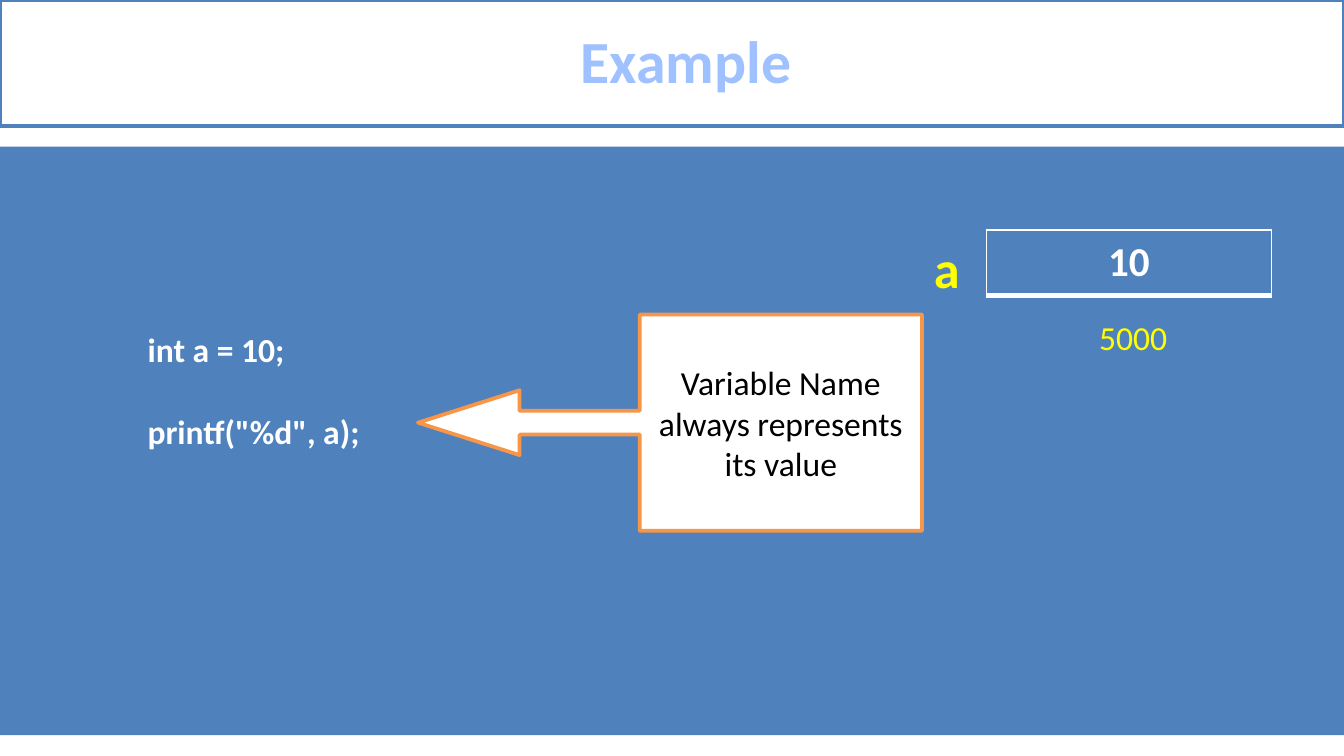
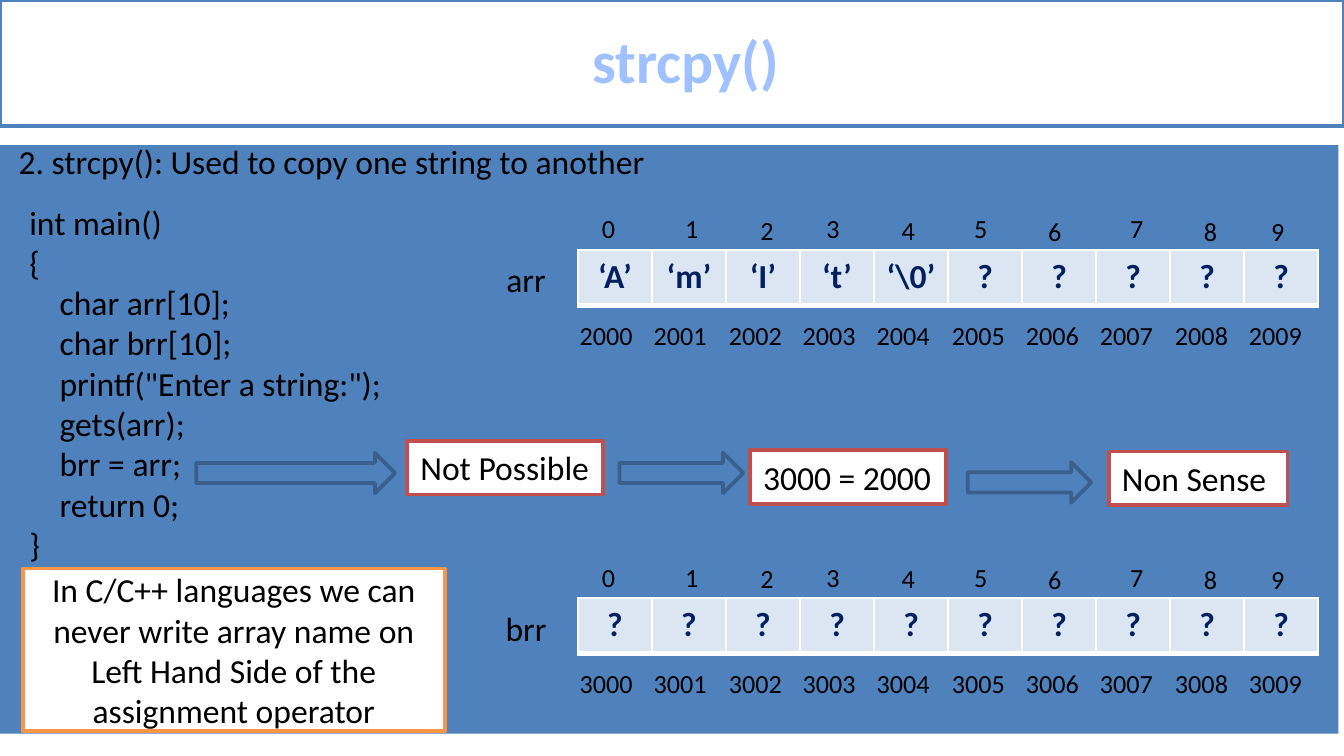
from lxml import etree
from pptx import Presentation
from pptx.dml.color import RGBColor
from pptx.enum.shapes import MSO_SHAPE
from pptx.enum.text import MSO_ANCHOR, MSO_AUTO_SIZE, PP_ALIGN
from pptx.oxml import parse_xml
from pptx.oxml.ns import nsdecls, qn
from pptx.util import Emu, Pt

PX = 9144
WIDTH = 1000
FONT = "Calibri"
TITLE_ONLY = 5
LEFT, CENTER = PP_ALIGN.LEFT, PP_ALIGN.CENTER
TOP, MIDDLE = MSO_ANCHOR.TOP, MSO_ANCHOR.MIDDLE
GROW = MSO_AUTO_SIZE.SHAPE_TO_FIT_TEXT
RECTANGLE = MSO_SHAPE.RECTANGLE
RIGHT_ARROW = MSO_SHAPE.RIGHT_ARROW
LEFT_CALLOUT = MSO_SHAPE.LEFT_ARROW_CALLOUT

COLORS = {
    "white": "FFFFFF",
    "black": "000000",
    "blue": "4F81BD",
    "arrow_edge": "3A5F8C",
    "title_edge": "467AB8",
    "orange": "F79646",
    "red": "C0504D",
    "yellow": "FFFF00",
    "navy": "002060",
    "cell": "DCE6F2",
}
TITLE_STOPS = ((0, "BFD3F9"), (9, "A0C1FF"), (50, "003D85"), (79, "A0C1FF"), (100, "BFD3F9"))
CELL_EDGES = (("lnL", 1), ("lnR", 1), ("lnT", 1), ("lnB", 3))
INDEX_PLACES = ((438, 0), (500, 0), (556, 1), (605, 0), (661, 1),
                (715, 0), (770, 2), (831, 0), (886, 2), (936, 2))

PROGRAM = """int main()
{
    char arr[10];
    char brr[10];
    printf("Enter a string:");
    gets(arr);
    brr = arr;
    return 0;
}"""


def rgb(name):
    return RGBColor.from_string(COLORS[name])


def px(*lengths):
    return [Emu(length * PX) for length in lengths]


def write(frame, text, size=18, color="black", bold=False, align=LEFT):
    frame.text = text
    for para in frame.paragraphs:
        para.alignment = align
        for span in para.runs:
            span.font.name = FONT
            span.font.size = Pt(size)
            span.font.bold = bold
            span.font.color.rgb = rgb(color)


def paint(shape, fill, line=None):
    shape.fill.solid()
    shape.fill.fore_color.rgb = rgb(fill)
    if line:
        shape.line.color.rgb = rgb(line)
        shape.line.width = Pt(2)
    else:
        shape.line.fill.background()


def add_shape(page, kind, place, fill, line=None):
    shape = page.shapes.add_shape(kind, *px(*place))
    shape.shadow.inherit = False
    paint(shape, fill, line)
    return shape


def add_text(page, place, text, wrap=True, anchor=TOP, **style):
    box = page.shapes.add_textbox(*px(*place))
    frame = box.text_frame
    frame.word_wrap = wrap
    frame.auto_size = GROW
    frame.vertical_anchor = anchor
    write(frame, text, **style)
    return box


def add_label(page, place, text, size=14):
    return add_text(page, place, text, anchor=MIDDLE, size=size, align=CENTER)


def add_note(page, kind, place, text):
    note = add_shape(page, kind, place, "white", "orange")
    note.text_frame.vertical_anchor = MIDDLE
    write(note.text_frame, text, align=CENTER)
    return note


def add_step(page, place, text):
    step = add_shape(page, RECTANGLE, place, "white", "red")
    step.text_frame.vertical_anchor = TOP
    step.text_frame.auto_size = GROW
    write(step.text_frame, text)


def add_arrow(page, place):
    add_shape(page, RIGHT_ARROW, place, "blue", "arrow_edge")


def border_cell(cell):
    properties = cell._tc.get_or_add_tcPr()
    for edge, points in CELL_EDGES:
        line = etree.SubElement(properties, qn(f"a:{edge}"), w=str(Pt(points)))
        fill = etree.SubElement(line, qn("a:solidFill"))
        etree.SubElement(fill, qn("a:srgbClr"), val=COLORS["white"])


def add_row(page, place, values, margins, fill, **style):
    table = page.shapes.add_table(1, len(values), *px(*place)).table
    table.first_row = False
    table.horz_banding = False
    side, top = px(*margins)
    for cell, value in zip(table.iter_cells(), values):
        border_cell(cell)
        cell.fill.solid()
        cell.fill.fore_color.rgb = rgb(fill)
        cell.margin_left = cell.margin_right = side
        cell.margin_top = cell.margin_bottom = top
        write(cell.text_frame, value, bold=True, align=CENTER, **style)


def style_title_span(span):
    stops = "".join(f'<a:gs pos="{share * 1000}"><a:srgbClr val="{color}"/></a:gs>'
                    for share, color in TITLE_STOPS)
    outline = (f'<a:ln {nsdecls("a")} w="{Pt(0.83)}"><a:solidFill>'
               f'<a:srgbClr val="{COLORS["title_edge"]}"/></a:solidFill></a:ln>')
    gradient = (f'<a:gradFill {nsdecls("a")}><a:gsLst>{stops}</a:gsLst>'
                '<a:lin ang="5400000"/></a:gradFill>')
    properties = span.font._element
    properties.insert(0, parse_xml(outline))
    properties.insert(1, parse_xml(gradient))


def add_page(deck, title, band):
    page = deck.slides.add_slide(deck.slide_layouts[TITLE_ONLY])
    add_shape(page, RECTANGLE, band, "blue")
    box = page.shapes.title
    box.left, box.top, box.width, box.height = px(0, 0, WIDTH, 94)
    paint(box, "white", "blue")
    frame = box.text_frame
    frame.text = title
    frame.vertical_anchor = MIDDLE
    para = frame.paragraphs[0]
    para.alignment = CENTER
    para.line_spacing = 0.96
    para._p.get_or_add_pPr().set("marL", str(21 * PX))
    span = para.runs[0]
    span.font.name = FONT
    span.font.size = Pt(32)
    span.font.bold = True
    style_title_span(span)
    return page


def add_array(page, top, name, values, first_address):
    add_row(page, (430, top, 551, 41), values, (8, 5), "cell", color="navy")
    add_label(page, (366, top + 2, 51, 40), name, size=18)
    for index, (left, drop) in enumerate(INDEX_PLACES):
        add_label(page, (left, top - 33 + drop, 29, 34), str(index))
        address_left = 420 + round(index * 498 / 9)
        add_label(page, (address_left, top + 46, 62, 34), str(first_address + index))


def build_example(deck):
    page = add_page(deck, "Example", (0, 109, WIDTH, 438))
    code = add_text(page, (100, 240, 900, 100), 'int a = 10;\nprintf("%d", a);',
                    color="white", bold=True)
    code.text_frame.paragraphs[1].space_before = Pt(22)
    callout = add_note(page, LEFT_CALLOUT, (311, 234, 375, 161),
                       "Variable Name\nalways represents\nits value")
    for index, value in enumerate((0.11, 0.15, 0.47, 0.56)):
        callout.adjustments[index] = value
    add_row(page, (734, 171, 212, 49), ["10"], (3, 6), "blue", size=22, color="white")
    add_text(page, (808, 231, 71, 40), "5000", wrap=False, color="yellow")
    add_text(page, (685, 171, 40, 57), "a", wrap=False, size=28, color="yellow", bold=True)


def build_strcpy(deck):
    page = add_page(deck, "strcpy()", (-4, 108, WIDTH, 438))
    add_text(page, (4, 100, 985, 40), "2. strcpy(): Used to copy one string to another")
    add_text(page, (12, 145, 286, 283), PROGRAM, wrap=False)
    add_note(page, RECTANGLE, (17, 423, 314, 121),
             "In C/C++ languages we can never write array name on Left Hand Side of the\n"
             "assignment operator")
    add_array(page, 186, "arr", ["‘A’", "‘m’", "‘I’", "‘t’", "‘\\0’"] + ["?"] * 5, 2000)
    add_array(page, 445, "brr", ["?"] * 10, 3000)
    for place in ((146, 337, 148, 30), (461, 337, 92, 30), (720, 344, 92, 30)):
        add_arrow(page, place)
    add_step(page, (303, 328, 146, 40), "Not Possible")
    add_step(page, (558, 335, 146, 40), "3000 = 2000")
    add_step(page, (825, 336, 133, 40), "Non Sense")


def main():
    deck = Presentation()
    deck.slide_width = Emu(WIDTH * PX)
    deck.slide_height = Emu(WIDTH * PX * 9 // 16)
    build_example(deck)
    build_strcpy(deck)
    deck.save("out.pptx")


if __name__ == "__main__":
    main()
